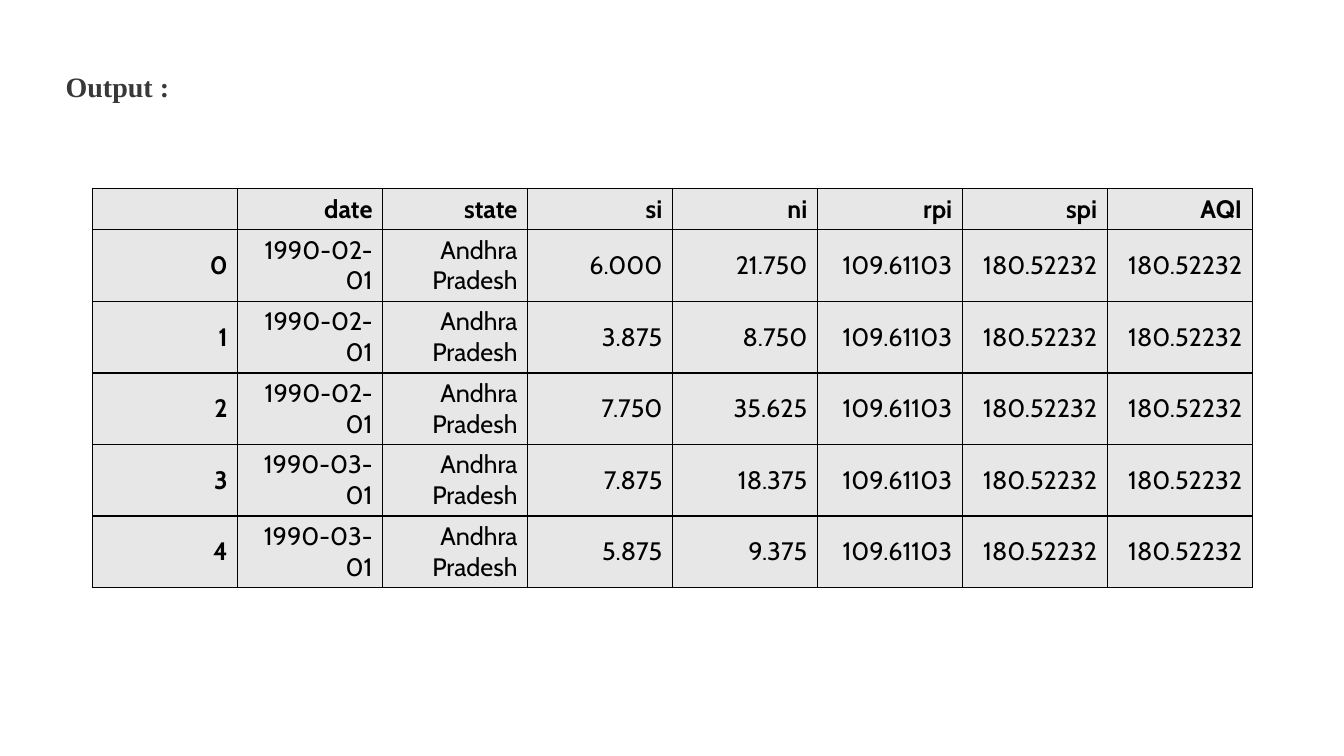
"""Build a slide showing the air quality output table."""
from dataclasses import dataclass

import lxml.etree
import pptx
import pptx.dml.color
import pptx.enum.text
import pptx.oxml.ns
import pptx.presentation
import pptx.slide
import pptx.table
import pptx.text.text
import pptx.util

Inches = pptx.util.Inches
Align = pptx.enum.text.PP_ALIGN
Anchor = pptx.enum.text.MSO_ANCHOR
Color = pptx.dml.color.RGBColor

BLACK = Color(0x00, 0x00, 0x00)
DARK = Color(0x38, 0x38, 0x38)
GREY = Color(0xE7, 0xE7, 0xE7)

HEAD = ["", "date", "state", "si", "ni", "rpi", "spi", "AQI"]


@dataclass
class Record:
    date: str
    si: str
    ni: str
    state: str = "Andhra Pradesh"
    rpi: str = "109.61103"
    spi: str = "180.52232"
    aqi: str = "180.52232"

    def cells(self, index: int) -> list[str]:
        return [str(index), self.date, self.state, self.si, self.ni,
                self.rpi, self.spi, self.aqi]


RECORDS = [
    Record("1990-02-01", "6.000", "21.750"),
    Record("1990-02-01", "3.875", "8.750"),
    Record("1990-02-01", "7.750", "35.625"),
    Record("1990-03-01", "7.875", "18.375"),
    Record("1990-03-01", "5.875", "9.375"),
]


def style(para: pptx.text.text._Paragraph, face: str, size: int,
          color: Color, bold: bool) -> None:
    for run in para.runs:
        run.font.name = face
        run.font.size = pptx.util.Pt(size)
        run.font.color.rgb = color
        run.font.bold = bold


def border(cell: pptx.table._Cell) -> None:
    props = cell._tc.get_or_add_tcPr()
    qn = pptx.oxml.ns.qn
    for index, side in enumerate(("a:lnL", "a:lnR", "a:lnT", "a:lnB")):
        line = lxml.etree.Element(qn(side), w=str(pptx.util.Pt(1)))
        fill = lxml.etree.SubElement(line, qn("a:solidFill"))
        lxml.etree.SubElement(fill, qn("a:srgbClr"), val=str(BLACK))
        props.insert(index, line)


def fill_cell(cell: pptx.table._Cell, text: str, bold: bool) -> None:
    cell.fill.solid()
    cell.fill.fore_color.rgb = GREY
    cell.vertical_anchor = Anchor.MIDDLE
    border(cell)
    para = cell.text_frame.paragraphs[0]
    para.text = text
    para.alignment = Align.RIGHT
    style(para, "Cabin", 18, BLACK, bold)


def add_title(slide: pptx.slide.Slide) -> None:
    title = slide.shapes.title
    title.left, title.top = Inches(0.55), Inches(0.64)
    title.width, title.height = Inches(5.15), Inches(0.44)
    frame = title.text_frame
    frame.text = "Output :"
    frame.vertical_anchor = Anchor.TOP
    frame.auto_size = pptx.enum.text.MSO_AUTO_SIZE.SHAPE_TO_FIT_TEXT
    para = frame.paragraphs[0]
    para.alignment = Align.LEFT
    style(para, "Times New Roman", 20, DARK, True)


def add_grid(slide: pptx.slide.Slide) -> None:
    rows = [HEAD] + [rec.cells(i) for i, rec in enumerate(RECORDS)]
    table = slide.shapes.add_table(
        len(rows), len(HEAD), Inches(0.92), Inches(1.87),
        Inches(11.5), Inches(3.96)).table
    table.horz_banding = False
    for r, row in enumerate(rows):
        table.rows[r].height = Inches(0.71 if r else 0.41)
        for c, text in enumerate(row):
            fill_cell(table.cell(r, c), text, r == 0 or c == 0)


def main() -> None:
    deck = pptx.Presentation()
    deck.slide_width, deck.slide_height = Inches(13.33), Inches(7.5)
    slide = deck.slides.add_slide(deck.slide_layouts[5])
    add_title(slide)
    add_grid(slide)
    deck.save("out.pptx")


if __name__ == "__main__":
    main()
